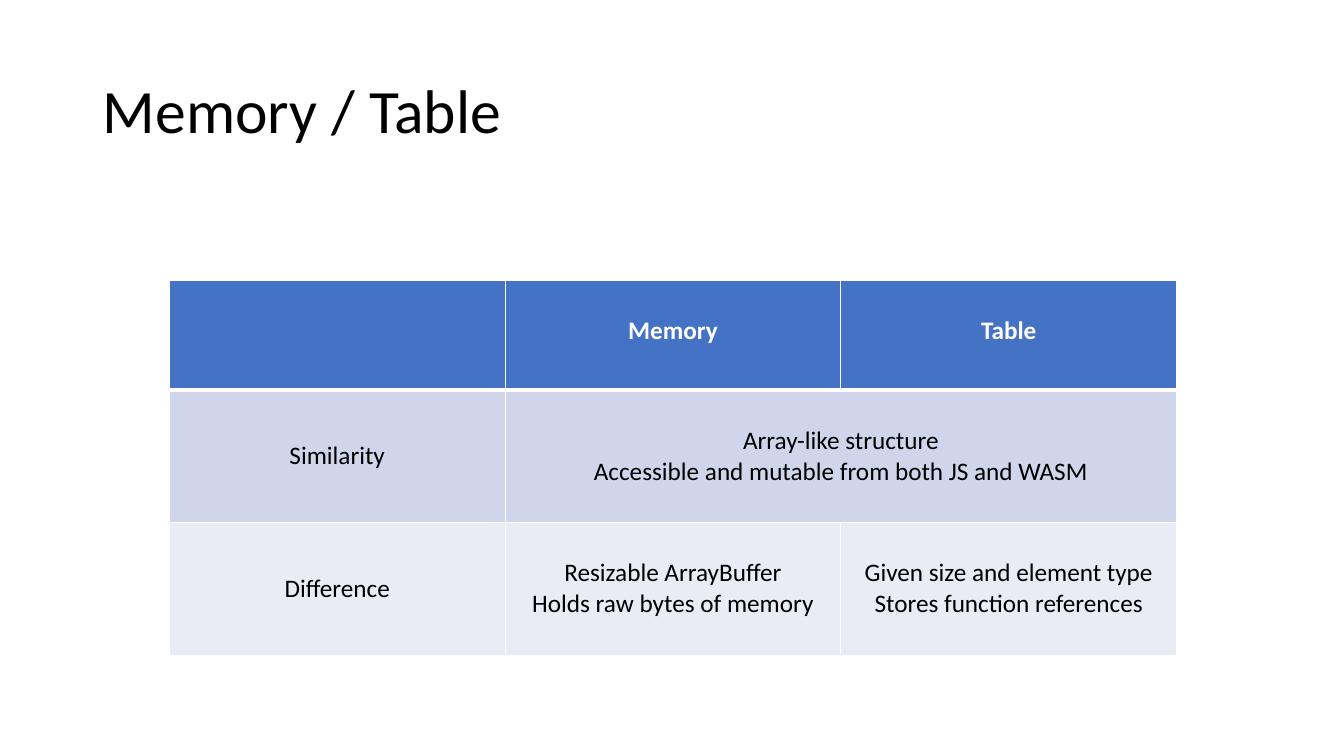
from dataclasses import dataclass

from lxml.etree import SubElement
from pptx import Presentation
from pptx.dml.color import RGBColor
from pptx.enum.text import MSO_ANCHOR as Anchor, MSO_AUTO_SIZE as AutoSize, PP_ALIGN as Align
from pptx.oxml.ns import qn
from pptx.util import Inches, Pt


@dataclass(frozen=True)
class Theme:
    """Colours, font and type sizes of the slide."""
    font: str = "Calibri"
    title_size: int = 44
    table_size: int = 18
    text: str = "000000"
    light: str = "FFFFFF"
    header: str = "4472C4"
    bands: tuple = ("CFD5EA", "E9EBF5")
    thin: int = 1
    thick: int = 3


def apply_format(target, values):
    """Set each attribute named in values on target."""
    for name, value in values.items():
        setattr(target, name, value)


class SlideBuilder:
    """Holds the theme and the current slide and adds its elements."""

    def __init__(self, slide, theme):
        """Keep the slide and the theme."""
        self.slide = slide
        self.theme = theme

    def fill_text(self, frame, lines, size, color, align, bold=False, spacing=1.0):
        """Put in one formatted paragraph for each line."""
        frame.text = "\n".join(lines)
        for paragraph in frame.paragraphs:
            apply_format(paragraph, {"alignment": align, "line_spacing": spacing})
            for font in (paragraph.font, *(run.font for run in paragraph.runs)):
                apply_format(font, {"name": self.theme.font, "size": Pt(size), "bold": bold})
                font.color.rgb = RGBColor.from_string(color)

    def title(self, text, left, top, width, height):
        """Place and fill the title placeholder."""
        shape = self.slide.shapes.title
        apply_format(shape, {"left": Inches(left), "top": Inches(top),
                             "width": Inches(width), "height": Inches(height)})
        apply_format(shape.text_frame, {"vertical_anchor": Anchor.MIDDLE, "word_wrap": True,
                                        "auto_size": AutoSize.NONE})
        self.fill_text(shape.text_frame, [text], self.theme.title_size, self.theme.text,
                       Align.LEFT, spacing=0.9)

    def borders(self, cell, widths):
        """Draw the cell borders; widths maps each side to points."""
        properties = cell._tc.get_or_add_tcPr()
        for index, (side, width) in enumerate(widths.items()):
            line = SubElement(properties, qn(f"a:ln{side}"), w=str(Pt(width)))
            fill = SubElement(line, qn("a:solidFill"))
            SubElement(fill, qn("a:srgbClr"), val=self.theme.light)
            properties.insert(index, line)

    def table(self, rows, left, top, column_width, row_heights, merges=()):
        """Add a table with a header row, coloured bands and merged cells."""
        theme = self.theme
        columns = len(rows[0])
        table = self.slide.shapes.add_table(
            len(rows), columns, Inches(left), Inches(top),
            Inches(column_width * columns), Inches(sum(row_heights))).table
        for column in table.columns:
            column.width = Inches(column_width)
        for row_index, (lines_by_cell, height) in enumerate(zip(rows, row_heights)):
            table.rows[row_index].height = Inches(height)
            is_header = row_index == 0
            fill = theme.header if is_header else theme.bands[(row_index - 1) % 2]
            color = theme.light if is_header else theme.text
            widths = {"L": theme.thin, "R": theme.thin,
                      "T": theme.thick if row_index == 1 else theme.thin,
                      "B": theme.thick if is_header else theme.thin}
            for column_index, lines in enumerate(lines_by_cell):
                cell = table.cell(row_index, column_index)
                apply_format(cell, {"vertical_anchor": Anchor.MIDDLE,
                                    "margin_bottom": Inches(0.13 if is_header else 0.05)})
                cell.fill.solid()
                cell.fill.fore_color.rgb = RGBColor.from_string(fill)
                self.fill_text(cell.text_frame, lines, theme.table_size, color,
                               Align.CENTER, bold=is_header)
                self.borders(cell, widths)
        for first, last in merges:
            table.cell(*first).merge(table.cell(*last))


def main():
    """Build the comparison slide and save it."""
    presentation = Presentation()
    apply_format(presentation, {"slide_width": Inches(13.33), "slide_height": Inches(7.5)})
    title_only = presentation.slide_layouts[5]
    builder = SlideBuilder(presentation.slides.add_slide(title_only), Theme())
    builder.title("Memory / Table", 0.92, 0.4, 11.5, 1.45)
    comparison = [
        [[], ["Memory"], ["Table"]],
        [["Similarity"],
         ["Array-like structure", "Accessible and mutable from both JS and WASM"], []],
        [["Difference"],
         ["Resizable ArrayBuffer", "Holds raw bytes of memory"],
         ["Given size and element type", "Stores function references"]],
    ]
    builder.table(comparison, left=1.68, top=2.78, column_width=3.33,
                  row_heights=[1.09, 1.31, 1.32], merges=[((1, 1), (1, 2))])
    presentation.save("out.pptx")


main()
